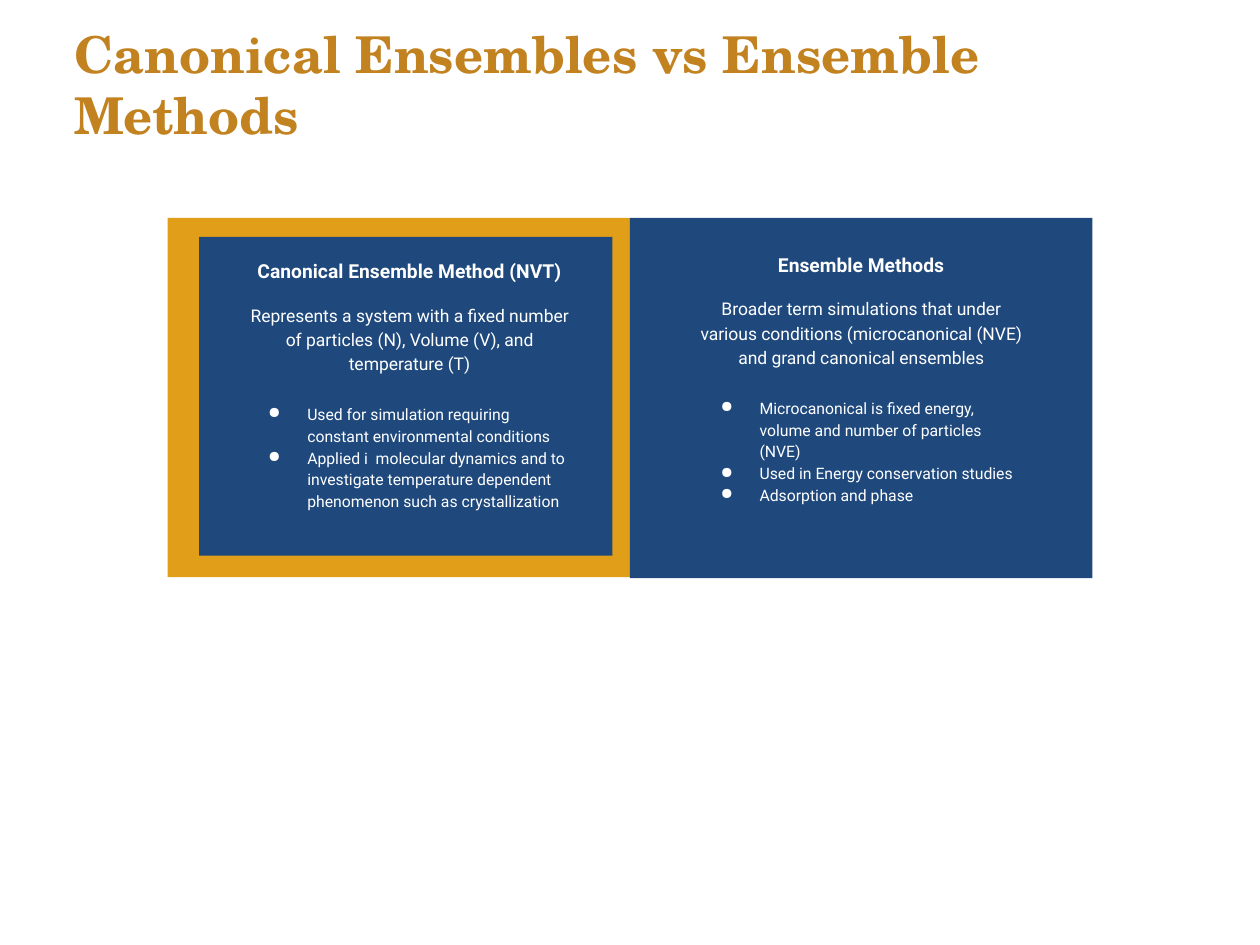
"""Build a slide comparing canonical ensembles with ensemble methods."""
from lxml import etree
from pptx import Presentation
from pptx.dml.color import RGBColor
from pptx.enum import shapes, text
from pptx.oxml import ns
from pptx.util import Inches, Pt

WHITE = RGBColor(0xFF, 0xFF, 0xFF)
NAVY = RGBColor(0x1F, 0x49, 0x7D)
GOLD = RGBColor(0xE0, 0x9E, 0x19)
BROWN = RGBColor(0xC2, 0x82, 0x20)

TITLE = "Canonical Ensembles vs Ensemble Methods"
PANELS = [
    (1.33, 1.73, 3.67, 2.85, GOLD),
    (1.58, 1.88, 3.28, 2.53, NAVY),
    (5.0, 1.73, 3.67, 2.86, NAVY),
]
CARDS = [
    {
        "box": (1.84, 1.93, 2.82, 2.24),
        "head": "Canonical Ensemble Method (NVT)",
        "body": "Represents a system with a fixed number of particles (N), "
                "Volume (V), and temperature (T)",
        "points": [
            "Used for simulation requiring constant environmental conditions",
            "Applied i  molecular dynamics and to investigate temperature "
            "dependent phenomenon such as crystallization",
        ],
    },
    {
        "box": (5.43, 1.88, 2.81, 2.29),
        "head": "Ensemble Methods",
        "body": "Broader term simulations that under various conditions "
                "(microcanonical (NVE) and grand canonical ensembles",
        "points": [
            "Microcanonical is fixed energy, volume and number of particles (NVE)",
            "Used in Energy conservation studies",
            "Adsorption and phase",
        ],
    },
]


def add_panel(slide, box, fill):
    panel = slide.shapes.add_shape(shapes.MSO_SHAPE.RECTANGLE, *map(Inches, box))
    panel.shadow.inherit = False
    panel.fill.solid()
    panel.fill.fore_color.rgb = fill
    panel.line.fill.background()


def add_frame(slide, box, pad):
    frame = slide.shapes.add_textbox(*map(Inches, box)).text_frame
    frame.word_wrap = True
    frame.margin_left = frame.margin_right = Inches(0.1)
    frame.margin_top = frame.margin_bottom = Inches(pad)
    return frame


def style(para, font, size, color, bold=False):
    for run in para.runs:
        run.font.name, run.font.size, run.font.bold = font, Pt(size), bold
        run.font.color.rgb = color


def add_bullet(para):
    props = para._p.get_or_add_pPr()
    props.set("marL", str(Inches(0.5)))
    props.set("indent", str(Inches(-0.31)))
    tint = etree.SubElement(props, ns.qn("a:buClr"))
    etree.SubElement(tint, ns.qn("a:srgbClr"), val=str(WHITE))
    etree.SubElement(props, ns.qn("a:buChar"), char="●")


def add_card(slide, card):
    frame = add_frame(slide, card["box"], 0.1)
    rows = [(card["head"], 11, 0), (card["body"], 10, 11)]
    rows += [(point, 9, 0 if i else 16) for i, point in enumerate(card["points"])]
    frame.text = "\n".join(row[0] for row in rows)
    for i, (para, (_, size, gap)) in enumerate(zip(frame.paragraphs, rows)):
        para.line_spacing = 1.15
        para.space_before = Pt(gap)
        if i < 2:
            para.alignment = text.PP_ALIGN.CENTER
        else:
            add_bullet(para)
        style(para, "Roboto", size, WHITE, i == 0)


def main():
    deck = Presentation()
    deck.slide_width, deck.slide_height = Inches(10), Inches(7.5)
    slide = deck.slides.add_slide(deck.slide_layouts[6])
    for *box, fill in PANELS:
        add_panel(slide, box, fill)
    for card in CARDS:
        add_card(slide, card)
    title = add_frame(slide, (0.49, 0.51, 9.24, 0.69), 0.05)
    title.vertical_anchor = text.MSO_ANCHOR.BOTTOM
    title.text = TITLE
    style(title.paragraphs[0], "TeX Gyre Schola", 29, BROWN, True)
    deck.save("out.pptx")


if __name__ == "__main__":
    main()
